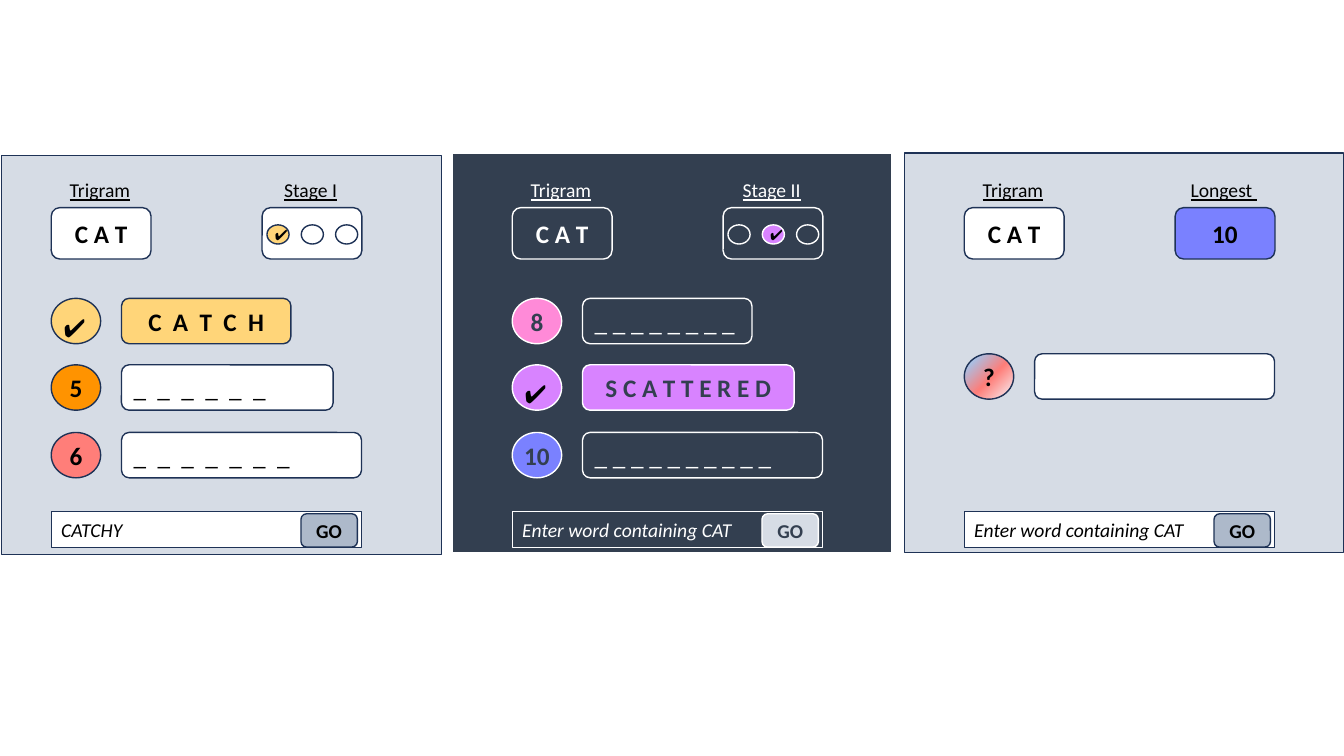
from dataclasses import dataclass
from typing import Optional

import pptx
import pptx.dml.color
import pptx.enum.shapes
import pptx.enum.text
import pptx.oxml
import pptx.oxml.ns
import pptx.util

Pt = pptx.util.Pt
Shape = pptx.enum.shapes.MSO_SHAPE
Anchor = pptx.enum.text.MSO_ANCHOR
Align = pptx.enum.text.PP_ALIGN

FONT = "Calibri"
TICK = "✔"
PROMPT = "Enter word containing CAT"
YELLOW, ORANGE, RED = "FFD579", "FF9300", "FF7E79"
PINK, PURPLE, BLUE = "FF8AD8", "D883FF", "7A81FF"
RAINBOW = [(0, "F6F8FC"), (46, RED), (83, "ABC0E4"), (100, "C7D5ED")]

# Rows shared by the panels, in points
ROW_TOPS = (213.1, 260.6, 308.9)
ROW_WIDTHS = (121, 151.2, 171.4)
SINGLE_ROW_TOP = 252.7
ROW_HEIGHT = 32.4
BADGE_WIDTH = 35.3


@dataclass(frozen=True)
class Theme:
    panel: str
    surface: Optional[str]
    line: str
    ink: str
    badge_ink: str
    button: str


@dataclass(frozen=True)
class WordRow:
    top: float
    width: float
    badge: str
    badge_fill: Optional[str]
    word: str = ""
    solved: bool = False


@dataclass(frozen=True)
class Panel:
    left: float
    top: float
    content_left: float
    theme: Theme
    heading: str
    entry: str
    rows: list[WordRow]
    stage: Optional[int] = None
    stage_fill: str = ""
    longest: str = ""


LIGHT = Theme("D6DCE5", "FFFFFF", "1E3256", "000000", "000000", "ADB9CA")
DARK = Theme("333F50", None, "FFFFFF", "FFFFFF", "333F50", "D6DCE5")


def word_rows(*rows: tuple) -> list[WordRow]:
    return [WordRow(top, width, *row)
            for top, width, row in zip(ROW_TOPS, ROW_WIDTHS, rows)]


PANELS = [
    Panel(1.3, 110.9, 36.6, LIGHT, "Stage I", "CATCHY", word_rows(
        (TICK, YELLOW, "C  A  T  C  H", True),
        ("5", ORANGE, "_  _  _  _  _  _"),
        ("6", RED, "_  _  _  _  _  _  _"),
    ), stage=0, stage_fill=YELLOW),
    Panel(323.3, 109.4, 365.9, DARK, "Stage II", PROMPT, word_rows(
        ("8", PINK, "_ _ _ _ _ _ _ _"),
        (TICK, PURPLE, "S C A T T E R E D", True),
        ("10", BLUE, "_ _ _ _ _ _ _ _ _ _"),
    ), stage=1, stage_fill=PURPLE),
    Panel(645.9, 109.4, 688.8, LIGHT, "Longest ", PROMPT,
          [WordRow(SINGLE_ROW_TOP, ROW_WIDTHS[2], "?", None)], longest="10"),
]

deck = pptx.Presentation()
deck.slide_width, deck.slide_height = Pt(960), Pt(540)
slide = deck.slides.add_slide(deck.slide_layouts[6])


def paint(target, colour: str) -> None:
    """Give a font or a fill a solid hex colour."""
    rgb = pptx.dml.color.RGBColor.from_string(colour)
    if hasattr(target, "solid"):
        target.solid()
        target.fore_color.rgb = rgb
    else:
        target.color.rgb = rgb


def write(shape, text: str, *, colour: str, size: float = 18, align=Align.CENTER,
          anchor=Anchor.MIDDLE, bold: bool = False, italic: bool = False,
          underline: bool = False) -> None:
    frame = shape.text_frame
    frame.word_wrap = True
    frame.vertical_anchor = anchor
    paragraph = frame.paragraphs[0]
    paragraph.alignment = align
    run = paragraph.add_run()
    run.text = text
    font = run.font
    font.name, font.size = FONT, Pt(size)
    font.bold, font.italic, font.underline = bold, italic, underline
    paint(font, colour)


def add_box(kind, left: float, top: float, width: float, height: float,
            fill: Optional[str], line: str):
    box = slide.shapes.add_shape(kind, Pt(left), Pt(top), Pt(width), Pt(height))
    box.shadow.inherit = False
    if fill:
        paint(box.fill, fill)
    else:
        box.fill.background()
    paint(box.line.fill, line)
    box.line.width = Pt(1)
    return box


def add_label(text: str, left: float, top: float, width: float, height: float,
              **style) -> None:
    label = slide.shapes.add_textbox(Pt(left), Pt(top), Pt(width), Pt(height))
    write(label, text, anchor=Anchor.TOP, **style)


def fill_rainbow(shape) -> None:
    """Radial gradient spreading from the bottom right corner."""
    stops = "".join(f'<a:gs pos="{pos * 1000}"><a:srgbClr val="{colour}"/></a:gs>'
                    for pos, colour in RAINBOW)
    gradient = pptx.oxml.parse_xml(
        f'<a:gradFill {pptx.oxml.ns.nsdecls("a")} rotWithShape="1">'
        f'<a:gsLst>{stops}</a:gsLst><a:path path="circle">'
        '<a:fillToRect l="100000" t="100000"/></a:path></a:gradFill>')
    properties = shape._element.spPr
    properties.replace(properties.find(pptx.oxml.ns.qn("a:noFill")), gradient)


def draw_row(row: WordRow, left: float, theme: Theme) -> None:
    badge = add_box(Shape.OVAL, left, row.top, BADGE_WIDTH, ROW_HEIGHT,
                    row.badge_fill, theme.line)
    if not row.badge_fill:
        fill_rainbow(badge)
    if row.badge == TICK:
        add_label(TICK, left + 1.8, row.top + 6.2, 33.1, 28.8,
                  colour="000000", bold=True, align=Align.LEFT)
    else:
        badge.text_frame.margin_left = badge.text_frame.margin_right = 0
        write(badge, row.badge, colour=theme.badge_ink, bold=True)

    word = add_box(Shape.ROUNDED_RECTANGLE, left + 50.2, row.top, row.width, ROW_HEIGHT,
                   row.badge_fill if row.solved else theme.surface, theme.line)
    if row.solved:
        write(word, row.word, colour=theme.badge_ink, bold=True)
    elif row.word:
        write(word, row.word, colour=theme.ink, align=Align.LEFT)


def draw_stages(panel: Panel) -> None:
    theme = panel.theme
    for index in range(3):
        left = panel.content_left + 154.1 + 24.5 * index
        done = index == panel.stage
        add_box(Shape.OVAL, left, 160.6, 15.8, 13.7,
                panel.stage_fill if done else theme.surface, theme.line)
        if done:
            add_label(TICK, left - 1.4, 158, 18.7, 20.9,
                      colour="000000", size=10.5, bold=True)


def draw_panel(panel: Panel) -> None:
    theme, left = panel.theme, panel.content_left
    add_box(Shape.RECTANGLE, panel.left, panel.top, 313.9, 285.1, theme.panel, theme.line)

    # Trigram and progress
    for heading, offset in (("Trigram", -1.2), (panel.heading, 149.3)):
        add_label(heading, left + offset, 123.8, 72, 24.5,
                  colour=theme.ink, size=14, underline=True)
    trigram = add_box(Shape.ROUNDED_RECTANGLE, left, 148.3, 71.3, 36.7,
                      theme.surface, theme.line)
    write(trigram, "C A T", colour=theme.ink, bold=True)
    progress = add_box(Shape.ROUNDED_RECTANGLE, left + 150.6, 148.3, 71.3, 36.7,
                       BLUE if panel.longest else theme.surface, theme.line)
    if panel.longest:
        write(progress, panel.longest, colour=theme.ink, bold=True)
    else:
        draw_stages(panel)

    # Words to find
    for row in panel.rows:
        draw_row(row, left, theme)

    # Entry field
    entry = add_box(Shape.RECTANGLE, left, 365.2, 221.8, 25.9, theme.surface, theme.line)
    write(entry, panel.entry, colour=theme.ink, size=14, italic=True, align=Align.LEFT)
    go = add_box(Shape.ROUNDED_RECTANGLE, left + 178.4, 367, 40.3, 23.8,
                 theme.button, theme.line)
    write(go, "GO", colour=theme.badge_ink, size=14, bold=True)


for game_panel in PANELS:
    draw_panel(game_panel)

deck.save("out.pptx")
